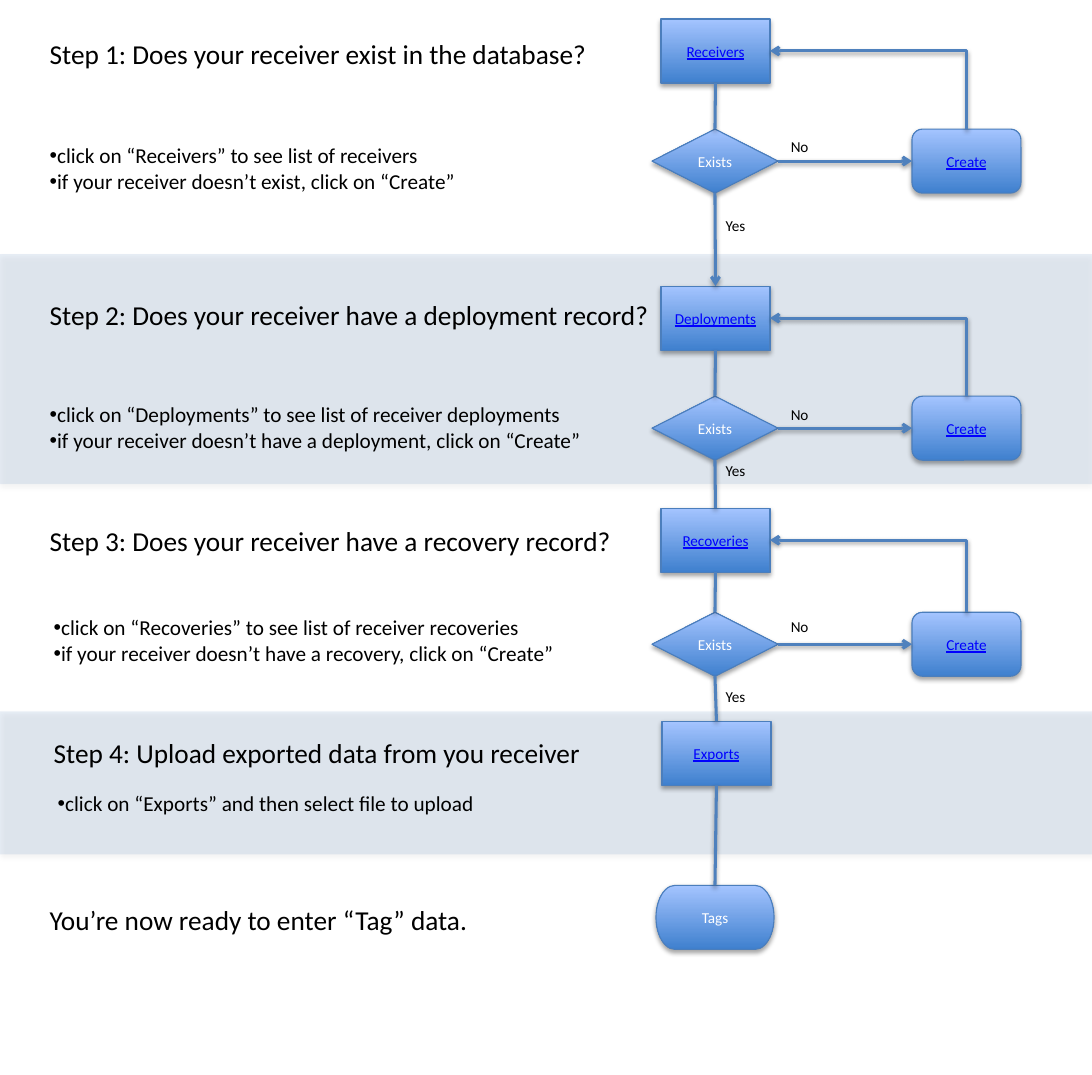
from dataclasses import dataclass

from lxml.etree import SubElement
from pptx import Presentation
from pptx.dml.color import RGBColor as Rgb
from pptx.enum.shapes import MSO_CONNECTOR as Connector, MSO_SHAPE as Shape
from pptx.enum.text import MSO_ANCHOR as Anchor, MSO_AUTO_SIZE as AutoSize, PP_ALIGN as Align
from pptx.oxml.ns import qn
from pptx.util import Emu, Inches, Pt

PIXELS_PER_INCH = 109.2
TOP, LEFT, BOTTOM, RIGHT = range(4)  # connection sites of flowchart shapes


@dataclass(frozen=True)
class Theme:
    """Colours, font and sizes used on the slide."""
    font: str = "Calibri"
    heading: int = 18
    body: int = 14
    label: int = 10
    text: str = "000000"
    node_text: str = "FFFFFF"
    link: str = "0000FF"
    accent: str = "4F81BD"
    outline: str = "4B7EBC"
    dark: str = "3F80CE"
    light: str = "A4C4FF"
    band_opacity: int = 13
    outline_width: float = 0.75
    connector_width: float = 2


def px(pixels):
    """Turn picture pixels into EMU."""
    return Emu(round(pixels * Inches(1) / PIXELS_PER_INCH))


def add_xml(parent, tag, **attributes):
    """Append a drawing element with the given attributes."""
    return SubElement(parent, qn(f"a:{tag}"), {k: str(v) for k, v in attributes.items()})


def write(frame, *lines, font, size, color, align=Align.LEFT, underline=None, bullet=None):
    """Write one formatted paragraph per line into a text frame."""
    for index, line in enumerate(lines):
        paragraph = frame.add_paragraph() if index else frame.paragraphs[0]
        paragraph.alignment = align
        run = paragraph.add_run()
        run.text = line
        run.font.name, run.font.size = font, Pt(size)
        run.font.color.rgb = Rgb.from_string(color)
        run.font.underline = underline
        if bullet:
            properties = paragraph._p.get_or_add_pPr()
            add_xml(properties, "buFont", typeface="Arial")
            add_xml(properties, "buChar", char=bullet)


def add_shadow(effects, distance, opacity):
    """Fill an effect list with a soft shadow cast downwards."""
    shadow = add_xml(effects, "outerShdw", blurRad=40000, dist=distance,
                     dir=5400000, rotWithShape=0)
    color = add_xml(shadow, "srgbClr", val="000000")
    add_xml(color, "alpha", val=opacity * 1000)


class FlowSlide:
    """Draws flowchart elements on one slide in one theme."""

    def __init__(self, slide, theme):
        """Keep the slide and its theme."""
        self.slide, self.theme = slide, theme

    def shape(self, kind, left, top, width, height):
        """Add a preset shape with a soft shadow."""
        shape = self.slide.shapes.add_shape(kind, px(left), px(top), px(width), px(height))
        shape.shadow.inherit = False
        add_shadow(shape._element.spPr.find(qn("a:effectLst")), 23000, 35)
        return shape

    def band(self, top, height):
        """Add a translucent band across the slide."""
        band = self.shape(Shape.RECTANGLE, 0, top, 1092, height)
        band.fill.solid()
        band.fill.fore_color.rgb = Rgb.from_string(self.theme.accent)
        band.line.fill.background()
        color = band._element.spPr.find(qn("a:solidFill")).find(qn("a:srgbClr"))
        add_xml(color, "alpha", val=self.theme.band_opacity * 1000)

    def node(self, kind, text, left, top, width=109, link=False):
        """Add a flowchart node with a gradient fill."""
        theme = self.theme
        node = self.shape(kind, left, top, width, 64)
        node.fill.gradient()
        node.fill.gradient_angle = 90
        for stop, color, position in zip(node.fill.gradient_stops, (theme.dark, theme.light), (0, 1)):
            stop.color.rgb, stop.position = Rgb.from_string(color), position
        node.line.color.rgb = Rgb.from_string(theme.outline)
        node.line.width = Pt(theme.outline_width)
        node.text_frame.vertical_anchor = Anchor.MIDDLE
        write(node.text_frame, text, font=theme.font, size=theme.label, align=Align.CENTER,
              color=theme.link if link else theme.node_text, underline=link or None)
        return node

    def text(self, left, top, width, height, *lines, size, bullet=None):
        """Add a text box that does not wrap."""
        box = self.slide.shapes.add_textbox(px(left), px(top), px(width), px(height))
        box.text_frame.word_wrap = False
        box.text_frame.auto_size = AutoSize.SHAPE_TO_FIT_TEXT
        write(box.text_frame, *lines, font=self.theme.font, size=size,
              color=self.theme.text, bullet=bullet)

    def connect(self, start, start_site, end, end_site, arrow=False, kind=Connector.STRAIGHT):
        """Join two nodes with a connector."""
        connector = self.slide.shapes.add_connector(kind, 0, 0, 0, 0)
        connector.begin_connect(start, start_site)
        connector.end_connect(end, end_site)
        connector.line.color.rgb = Rgb.from_string(self.theme.accent)
        connector.line.width = Pt(self.theme.connector_width)
        properties = connector._element.spPr
        if arrow:
            add_xml(properties.find(qn("a:ln")), "tailEnd", type="arrow")
        add_shadow(add_xml(properties, "effectLst"), 20000, 38)
        return connector

    def loop_back(self, start, end):
        """Join the top of one node to the right of another by one corner."""
        connector = self.connect(start, TOP, end, RIGHT, arrow=True, kind=Connector.ELBOW)
        across, up = connector.width, connector.height
        center_x, center_y = connector.left + across // 2, connector.top + up // 2
        connector.left, connector.top = Emu(center_x - up // 2), Emu(center_y - across // 2)
        connector.width, connector.height = up, across
        properties = connector._element.spPr
        properties.xfrm.flipH, properties.xfrm.flipV = False, True
        properties.xfrm.set("rot", "16200000")
        properties.find(qn("a:prstGeom")).set("prst", "bentConnector2")


# name, process top, decision top, "No" top, "Yes" top
STAGES = [
    ("Receivers", 19, 129, 132, 211),
    ("Deployments", 286, 396, 400, 456),
    ("Recoveries", 508, 612, 612, 682),
]
# left, top, width, heading
HEADINGS = [
    (39, 32, 565, "Step 1: Does your receiver exist in the database?"),
    (39, 293, 627, "Step 2: Does your receiver have a deployment record?"),
    (39, 519, 589, "Step 3: Does your receiver have a recovery record?"),
    (43, 731, 567, "Step 4: Upload exported data from you receiver"),
    (39, 897, 443, "You’re now ready to enter “Tag” data."),
]
# left, top, width, height, lines
INSTRUCTIONS = [
    (39, 137, 429, 62, "click on “Receivers” to see list of receivers",
     "if your receiver doesn’t exist, click on “Create”"),
    (39, 396, 555, 62, "click on “Deployments” to see list of receiver deployments",
     "if your receiver doesn’t have a deployment, click on “Create”"),
    (43, 609, 524, 62, "click on “Recoveries” to see list of receiver recoveries",
     "if your receiver doesn’t have a recovery, click on “Create”"),
    (47, 785, 441, 37, "click on “Exports” and then select file to upload"),
]


def build():
    """Build and save the presentation."""
    presentation = Presentation()
    presentation.slide_width, presentation.slide_height = Inches(10), Inches(9.84)
    theme = Theme()
    flow = FlowSlide(presentation.slides.add_slide(presentation.slide_layouts[6]), theme)

    for top, height in ((254, 230), (711, 143)):
        flow.band(top, height)

    previous = None
    for name, process_top, decision_top, no_top, yes_top in STAGES:
        process = flow.node(Shape.FLOWCHART_PROCESS, name, 661, process_top, link=True)
        decision = flow.node(Shape.FLOWCHART_DECISION, "Exists", 652, decision_top, width=126)
        create = flow.node(Shape.FLOWCHART_ALTERNATE_PROCESS, "Create", 912, decision_top, link=True)
        if previous:
            flow.connect(previous, BOTTOM, process, TOP, arrow=name == "Deployments")
        flow.connect(process, BOTTOM, decision, TOP)
        flow.connect(decision, RIGHT, create, LEFT, arrow=True)
        flow.loop_back(create, process)
        flow.text(780, no_top, 44, 29, "No", size=theme.label)
        flow.text(715, yes_top, 48, 29, "Yes", size=theme.label)
        previous = decision

    exports = flow.node(Shape.FLOWCHART_PROCESS, "Exports", 662, 721, link=True)
    tags = flow.node(Shape.FLOWCHART_TERMINATOR, "Tags", 656, 885, width=118)
    flow.connect(previous, BOTTOM, exports, TOP)
    flow.connect(exports, BOTTOM, tags, TOP)

    for left, top, width, heading in HEADINGS:
        flow.text(left, top, width, 44, heading, size=theme.heading)
    for left, top, width, height, *lines in INSTRUCTIONS:
        flow.text(left, top, width, height, *lines, size=theme.body, bullet="•")

    presentation.save("out.pptx")


build()
